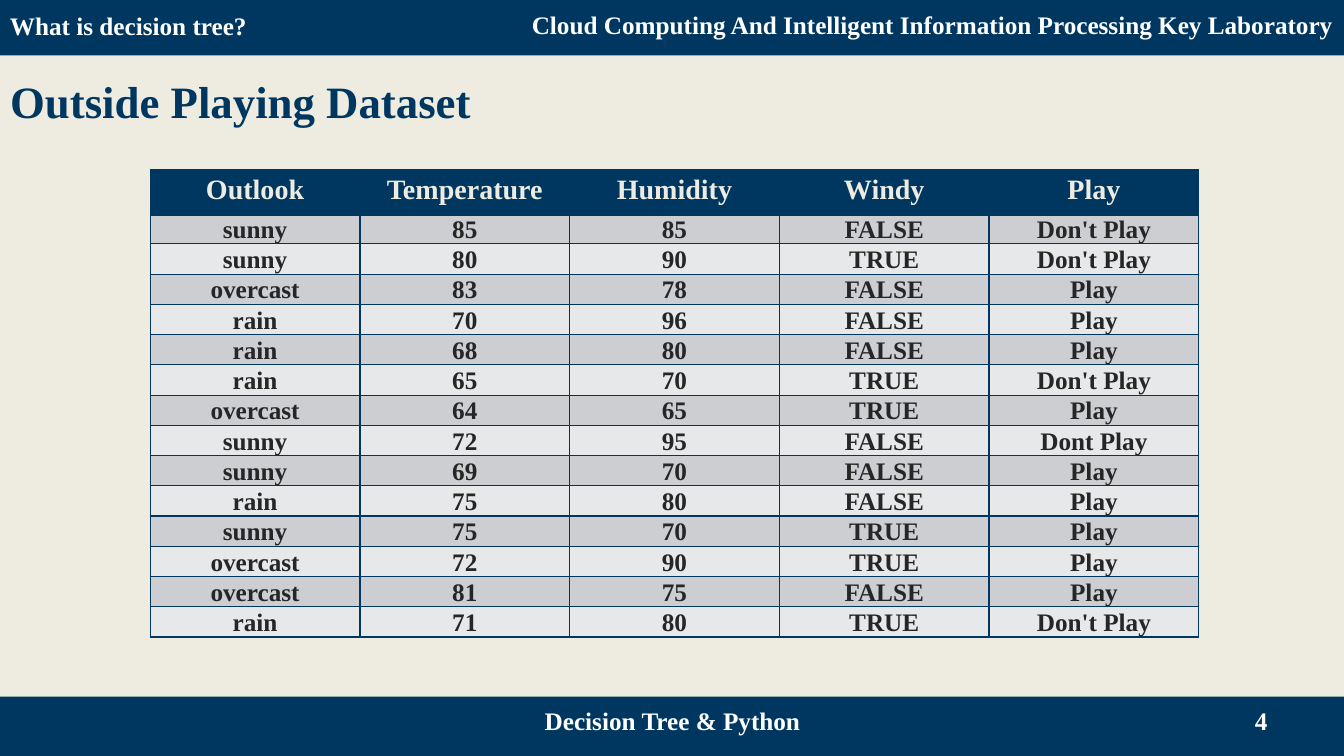
"""Build the slide that shows the outside playing dataset as a table."""
from dataclasses import dataclass

from lxml.etree import SubElement
from pptx import Presentation
from pptx.dml.color import RGBColor
from pptx.enum.shapes import MSO_SHAPE as Shape
from pptx.enum.text import MSO_ANCHOR as Anchor, MSO_AUTO_SIZE as AutoSize, PP_ALIGN as Align
from pptx.oxml.ns import qn
from pptx.util import Inches, Pt

TITLE = "Outside Playing Dataset"
SECTION = "What is decision tree?"
LABORATORY = "Cloud Computing And Intelligent Information Processing Key Laboratory"
TOPIC = "Decision Tree & Python"
PAGE_NUMBER = "4"
HEADER = ("Outlook", "Temperature", "Humidity", "Windy", "Play")
DAYS = [
    ("sunny", "85", "85", "FALSE", "Don't Play"),
    ("sunny", "80", "90", "TRUE", "Don't Play"),
    ("overcast", "83", "78", "FALSE", "Play"),
    ("rain", "70", "96", "FALSE", "Play"),
    ("rain", "68", "80", "FALSE", "Play"),
    ("rain", "65", "70", "TRUE", "Don't Play"),
    ("overcast", "64", "65", "TRUE", "Play"),
    ("sunny", "72", "95", "FALSE", "Dont Play"),
    ("sunny", "69", "70", "FALSE", "Play"),
    ("rain", "75", "80", "FALSE", "Play"),
    ("sunny", "75", "70", "TRUE", "Play"),
    ("overcast", "72", "90", "TRUE", "Play"),
    ("overcast", "81", "75", "FALSE", "Play"),
    ("rain", "71", "80", "TRUE", "Don't Play"),
]


@dataclass(frozen=True)
class Theme:
    font: str = "Times New Roman"
    navy: str = "003760"
    cream: str = "EEECE1"
    white: str = "FFFFFF"
    ink: str = "262626"
    bands: tuple = ("CCCED2", "E7E8EA")
    title_size: int = 32
    header_size: int = 20
    text_size: int = 18
    thin: int = 1
    thick: int = 3


THEME = Theme()
WIDTH, HEIGHT = 13.33, 7.5
BAR_HEIGHT = 0.59
LABEL_HEIGHT = 0.4
LABEL_TOP = 6.95
TABLE_LEFT, TABLE_TOP = 1.49, 1.68
COLUMN_WIDTH, HEADER_HEIGHT, ROW_HEIGHT = 2.08, 0.44, 0.3


def paint(target, color):
    target.fill.solid()
    target.fill.fore_color.rgb = RGBColor.from_string(color)


def write(frame, text, size, color, align=Align.LEFT, anchor=Anchor.MIDDLE):
    frame.word_wrap = True
    frame.vertical_anchor = anchor
    para = frame.paragraphs[0]
    para.text = text
    para.alignment = align
    style_font(para.font, size, color)
    return para


def style_font(font, size, color):
    font.name, font.size, font.bold = THEME.font, Pt(size), True
    font.color.rgb = RGBColor.from_string(color)


def add_title(page):
    title = page.shapes.title
    title.left, title.top, title.width, title.height = map(Inches, (0, 0.57, 8.68, 0.74))
    para = write(title.text_frame, TITLE, THEME.title_size, THEME.navy, anchor=Anchor.TOP)
    para.line_spacing = 1.2
    title.text_frame.auto_size = AutoSize.NONE


def add_bar(page, top):
    bar = page.shapes.add_shape(
        Shape.RECTANGLE, 0, Inches(top), Inches(WIDTH), Inches(BAR_HEIGHT))
    bar.shadow.inherit = False
    paint(bar, THEME.navy)
    bar.line.fill.background()
    return bar


def add_label(page, text, left, top, width, align):
    box = page.shapes.add_textbox(*map(Inches, (left, top, width, LABEL_HEIGHT)))
    write(box.text_frame, text, THEME.text_size, THEME.white, align)


def add_borders(cell, top, bottom):
    properties = cell._tc.get_or_add_tcPr()
    widths = {"a:lnL": THEME.thin, "a:lnR": THEME.thin, "a:lnT": top, "a:lnB": bottom}
    for tag, width in widths.items():
        line = SubElement(properties, qn(tag), w=str(Pt(width)))
        SubElement(SubElement(line, qn("a:solidFill")), qn("a:srgbClr"), val=THEME.navy)


def fill_cell(cell, text, row):
    is_header = row == 0
    add_borders(cell, THEME.thick if row == 1 else THEME.thin,
                THEME.thick if is_header else THEME.thin)
    paint(cell, THEME.navy if is_header else THEME.bands[(row - 1) % 2])
    if not is_header:
        cell.margin_left = cell.margin_right = cell.margin_top = cell.margin_bottom = 0
    cell.vertical_anchor = Anchor.TOP if is_header else Anchor.BOTTOM
    para = cell.text_frame.paragraphs[0]
    para.text = text
    para.alignment = Align.CENTER
    style_font(para.font, THEME.header_size if is_header else THEME.text_size,
               THEME.cream if is_header else THEME.ink)


def add_dataset(page):
    records = [HEADER, *DAYS]
    width = COLUMN_WIDTH * len(HEADER)
    height = HEADER_HEIGHT + ROW_HEIGHT * len(DAYS)
    table = page.shapes.add_table(
        len(records), len(HEADER), *map(Inches, (TABLE_LEFT, TABLE_TOP, width, height))).table
    for column in table.columns:
        column.width = Inches(COLUMN_WIDTH)
    for row, record in enumerate(records):
        table.rows[row].height = Inches(ROW_HEIGHT if row else HEADER_HEIGHT)
        for column, text in enumerate(record):
            fill_cell(table.cell(row, column), text, row)


def main():
    deck = Presentation()
    deck.slide_width, deck.slide_height = Inches(WIDTH), Inches(HEIGHT)
    page = deck.slides.add_slide(deck.slide_layouts[5])
    paint(page.background, THEME.cream)
    add_title(page)
    top_bar = add_bar(page, -0.04)
    write(top_bar.text_frame, SECTION, THEME.text_size, THEME.white)
    add_bar(page, HEIGHT - BAR_HEIGHT)
    add_dataset(page)
    add_label(page, PAGE_NUMBER, 9.56, LABEL_TOP, 3.11, Align.RIGHT)
    add_label(page, TOPIC, 4.56, LABEL_TOP, 4.22, Align.CENTER)
    add_label(page, LABORATORY, 3.91, 0.04, 9.41, Align.RIGHT)
    deck.save("out.pptx")


if __name__ == "__main__":
    main()
